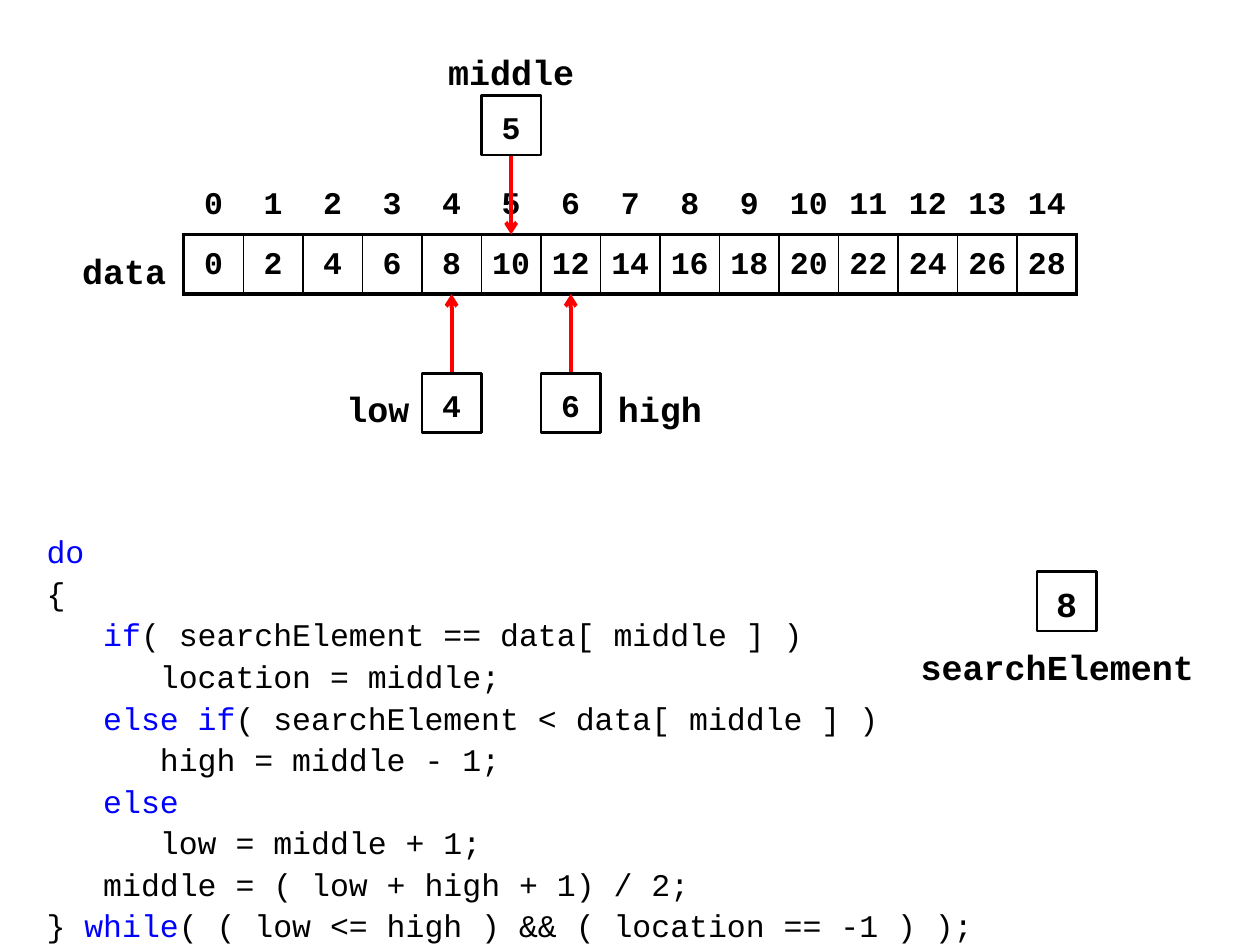
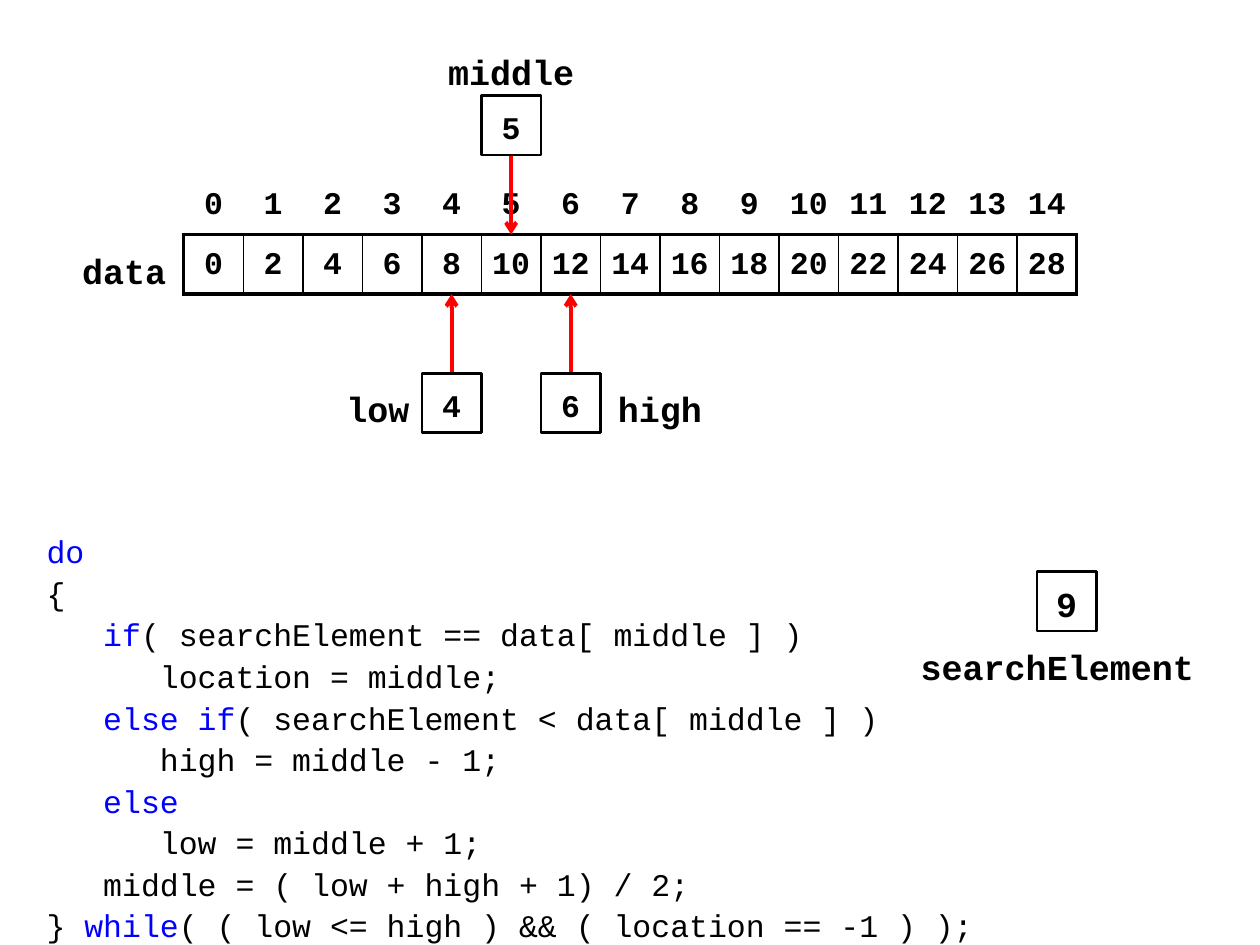
import pptx
import pptx.util
import pptx.dml.color
import pptx.enum.shapes
import pptx.enum.text
import pptx.oxml.ns
import lxml.etree

Pt = pptx.util.Pt
ALIGN = pptx.enum.text.PP_ALIGN
ANCHOR = pptx.enum.text.MSO_ANCHOR

BLACK = pptx.dml.color.RGBColor(0x00, 0x00, 0x00)
BLUE = pptx.dml.color.RGBColor(0x00, 0x00, 0xFF)
RED = pptx.dml.color.RGBColor(0xFF, 0x00, 0x00)
FONT = "Courier New"
CELL = 34.02
CODE_INDENT = 32.4
THICK, THIN = 2.25, 1

VALUES = range(0, 30, 2)
LOW, MIDDLE, HIGH = 4, 5, 6

CODE = [
    (0, "", "do", ""),
    (0, "{", "", ""),
    (1, "", "if", "( searchElement == data[ middle ] )"),
    (2, "location = middle;", "", ""),
    (1, "", "else if", "( searchElement < data[ middle ] )"),
    (2, "high = middle - 1;", "", ""),
    (1, "", "else", ""),
    (2, "low = middle + 1;", "", ""),
    (1, "middle = ( low + high + 1) / 2;", "", ""),
    (0, "} ", "while", "( ( low <= high ) && ( location == -1 ) );"),
]


def add_element(parent, tag, **attributes):
    return lxml.etree.SubElement(parent, pptx.oxml.ns.qn(tag), attributes)


def style_paragraph(para, size, align, spacing, bold=True):
    para.alignment = align
    para.line_spacing = spacing
    para.font.name = FONT
    para.font.size = Pt(size)
    para.font.bold = bold
    para.font.color.rgb = BLACK


def add_label(page, text, left, top, width, align=ALIGN.CENTER):
    box = page.shapes.add_textbox(Pt(left), Pt(top), Pt(width), Pt(CELL))
    box.text_frame.word_wrap = True
    para = box.text_frame.paragraphs[0]
    para.text = text
    style_paragraph(para, 20, align, 1.2)


def add_variable(page, value, left, top, size=18):
    box = page.shapes.add_shape(pptx.enum.shapes.MSO_SHAPE.RECTANGLE,
                                Pt(left), Pt(top), Pt(CELL), Pt(CELL))
    box.shadow.inherit = False
    box.fill.background()
    box.line.color.rgb = BLACK
    box.line.width = Pt(1.5)
    box.text_frame.vertical_anchor = ANCHOR.MIDDLE
    para = box.text_frame.paragraphs[0]
    para.text = str(value)
    para.space_before = Pt(3)
    style_paragraph(para, size, ALIGN.CENTER, 1.1)


def add_arrow(page, x, start, end):
    arrow = page.shapes.add_connector(pptx.enum.shapes.MSO_CONNECTOR.STRAIGHT,
                                      Pt(x), Pt(start), Pt(x), Pt(end))
    arrow.line.color.rgb = RED
    arrow.line.width = Pt(2.25)
    add_element(arrow.line._get_or_add_ln(), "a:tailEnd", type="arrow")
    add_element(arrow._element.spPr, "a:effectLst")


def set_borders(cell, widths):
    properties = cell._tc.get_or_add_tcPr()
    for side, width in zip("LRTB", widths):
        if width:
            border = add_element(properties, "a:ln" + side, w=str(Pt(width)))
            fill = add_element(border, "a:solidFill")
            add_element(fill, "a:srgbClr", val=str(BLACK))
        else:
            border = add_element(properties, "a:ln" + side, w="0")
            add_element(border, "a:noFill")


def add_array_table(page, left, top):
    count = len(VALUES)
    table = page.shapes.add_table(2, count, Pt(left), Pt(top),
                                  Pt(count * CELL), Pt(2 * CELL)).table
    table.first_row = False
    table.horz_banding = False
    for row in table.rows:
        row.height = Pt(CELL)
    for index, value in enumerate(VALUES):
        table.columns[index].width = Pt(CELL)
        left_edge = THICK if index == 0 else THIN
        right_edge = THICK if index == count - 1 else THIN
        edges = [(0, 0, 0, THICK), (left_edge, right_edge, THICK, THICK)]
        for row, text in enumerate((index, value)):
            cell = table.cell(row, index)
            cell.margin_left = cell.margin_right = Pt(5.75)
            cell.margin_top = cell.margin_bottom = Pt(3.6)
            set_borders(cell, edges[row])
            cell.fill.background()
            para = cell.text_frame.paragraphs[0]
            para.text = str(text)
            style_paragraph(para, 18, ALIGN.CENTER, 1.2)


def draw_array(page, left, top):
    data_top = top + CELL
    data_bottom = data_top + CELL
    arrow_length = 45.3
    pointer_top = data_bottom + arrow_length
    middle_top = data_top - arrow_length - CELL

    def column(index):
        return left + index * CELL

    add_array_table(page, left, top)
    add_label(page, "data", left - 2 * CELL, data_top, 2 * CELL)
    add_label(page, "low", column(LOW) - 57, pointer_top, 57, ALIGN.RIGHT)
    add_label(page, "high", column(HIGH + 1), pointer_top, 2 * CELL)
    add_label(page, "middle", column(MIDDLE + 0.5) - 45.35, middle_top - CELL, 90.7)
    for index in (LOW, HIGH):
        add_arrow(page, column(index + 0.5), pointer_top, data_bottom)
        add_variable(page, index, column(index), pointer_top)
    add_arrow(page, column(MIDDLE + 0.5), middle_top + CELL, data_top)
    add_variable(page, MIDDLE, column(MIDDLE), middle_top)


def draw_code(page, left, top, width, height):
    box = page.shapes.add_textbox(Pt(left), Pt(top), Pt(width), Pt(height))
    frame = box.text_frame
    frame.word_wrap = True
    for number, (level, before, keyword, after) in enumerate(CODE):
        para = frame.paragraphs[0] if number == 0 else frame.add_paragraph()
        style_paragraph(para, 18, ALIGN.LEFT, 1.1, bold=False)
        para._p.get_or_add_pPr().set("marL", str(Pt(level * CODE_INDENT)))
        for text, color in ((before, BLACK), (keyword, BLUE), (after, BLACK)):
            if text:
                span = para.add_run()
                span.text = text
                span.font.color.rgb = color


def draw_search_element(page, value, left, top, width):
    add_variable(page, value, left + 73.5, top, 20)
    add_label(page, "searchElement", left, top + CELL, width, ALIGN.LEFT)


def build_search_slide(deck, search_value):
    page = deck.slides.add_slide(deck.slide_layouts[6])
    draw_code(page, 19.5, 298.5, 610, 227)
    draw_search_element(page, search_value, 519, 326.7, 181.5)
    draw_array(page, 105, 100)


deck = pptx.Presentation()
deck.slide_width = Pt(720)
deck.slide_height = Pt(540)
for search_value in (8, 9):
    build_search_slide(deck, search_value)
deck.save("out.pptx")
